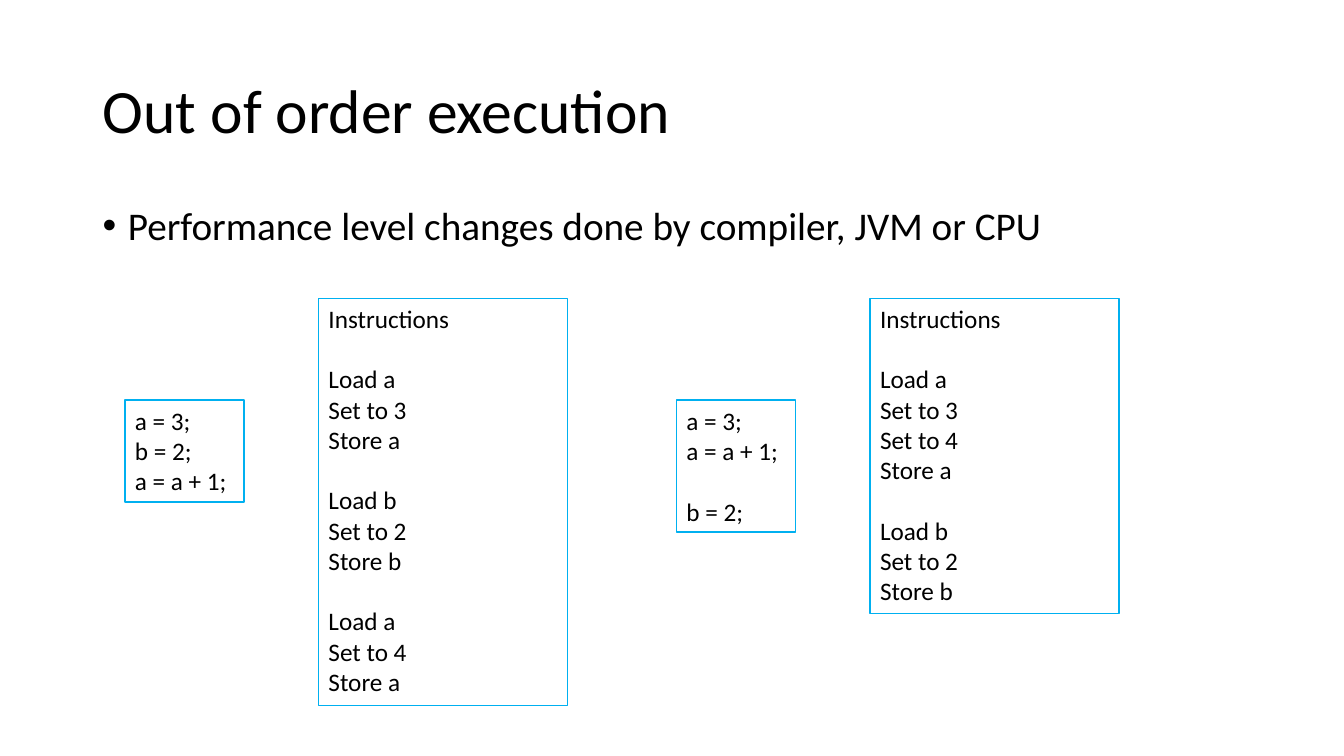
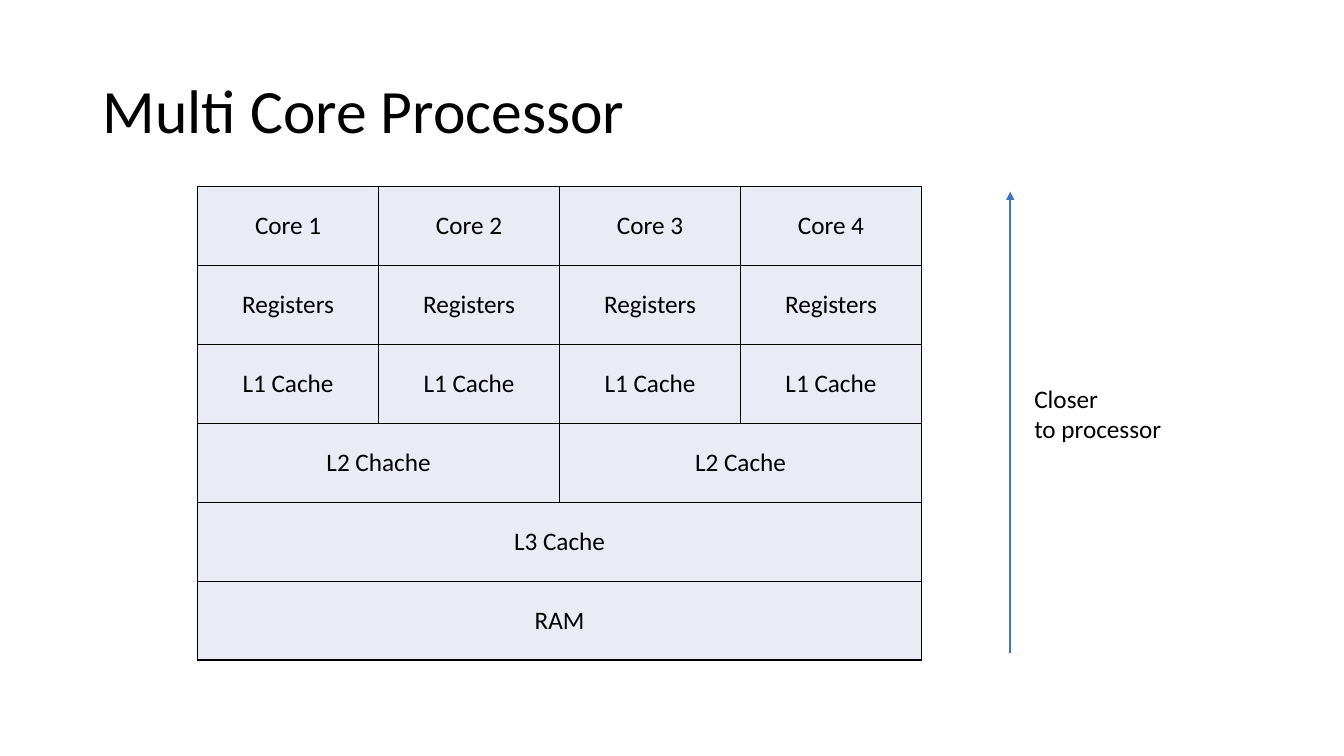
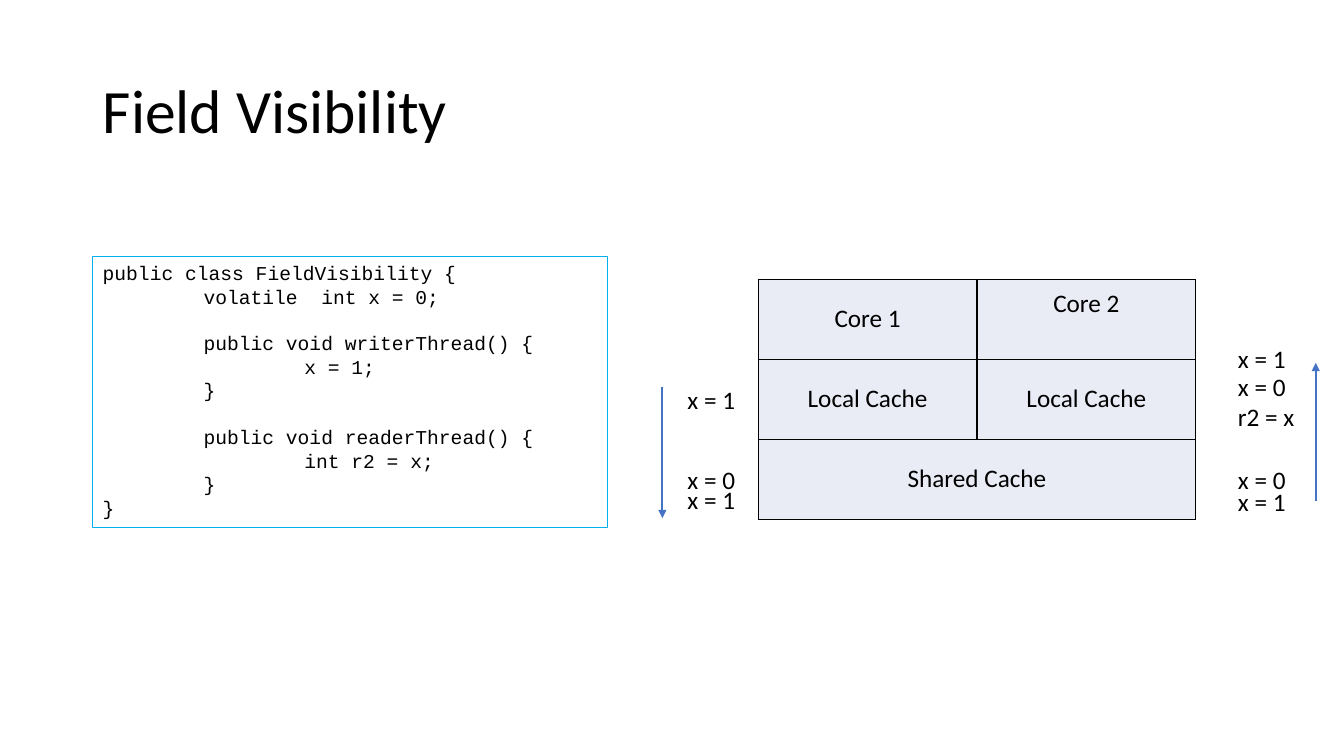
import dataclasses
import typing

import lxml.etree
import pptx
import pptx.dml.color
import pptx.enum.shapes
import pptx.enum.text
import pptx.oxml
import pptx.oxml.ns
import pptx.presentation
import pptx.slide
import pptx.table
import pptx.util

Inches = pptx.util.Inches
Pt = pptx.util.Pt

BLACK = "000000"
WHITE = "FFFFFF"
CODE_BORDER = "00B0F0"
ARROW_BLUE = "4472C4"
CELL_FILL = "E9EBF5"

BODY_FONT = "Calibri"
CODE_FONT = "Courier New"
GAP_HEIGHT = {BODY_FONT: 1.2, CODE_FONT: 1.18}

TITLE_ONLY = 5
BORDER_TAGS = ("a:lnL", "a:lnR", "a:lnT", "a:lnB")


@dataclasses.dataclass(frozen=True)
class TextBox:
    left: float
    top: float
    width: float
    height: float
    text: str
    size: int = 18
    font: str = BODY_FONT
    wrap: bool = False
    border: float = 0
    fill: str = ""


@dataclasses.dataclass(frozen=True)
class Grid:
    left: float
    top: float
    width: float
    height: float
    columns: int
    rows: list[list[str]]


class Arrow(typing.NamedTuple):
    x: float
    start: float
    end: float


def color(value: str) -> pptx.dml.color.RGBColor:
    return pptx.dml.color.RGBColor.from_string(value)


def style_font(para: typing.Any, size: int, name: str = BODY_FONT) -> None:
    para.font.size = Pt(size)
    para.font.name = name
    para.font.color.rgb = color(BLACK)


def add_page(deck: pptx.presentation.Presentation, title: str) -> pptx.slide.Slide:
    page = deck.slides.add_slide(deck.slide_layouts[TITLE_ONLY])
    heading = page.shapes.title
    heading.left, heading.top = Inches(0.92), Inches(0.4)
    heading.width, heading.height = Inches(11.5), Inches(1.45)
    frame = heading.text_frame
    frame.text = title
    frame.auto_size = pptx.enum.text.MSO_AUTO_SIZE.NONE
    frame.vertical_anchor = pptx.enum.text.MSO_ANCHOR.MIDDLE
    para = frame.paragraphs[0]
    para.alignment = pptx.enum.text.PP_ALIGN.LEFT
    para.line_spacing = 0.9
    style_font(para, 44)
    return page


def add_text(page: pptx.slide.Slide, item: TextBox) -> typing.Any:
    box = page.shapes.add_textbox(
        Inches(item.left), Inches(item.top), Inches(item.width), Inches(item.height)
    )
    if item.fill:
        box.fill.solid()
        box.fill.fore_color.rgb = color(item.fill)
    if item.border:
        box.line.color.rgb = color(CODE_BORDER)
        box.line.width = Pt(item.border)
    frame = box.text_frame
    frame.word_wrap = item.wrap
    frame.auto_size = pptx.enum.text.MSO_AUTO_SIZE.SHAPE_TO_FIT_TEXT
    for group_index, group in enumerate(item.text.split("\n\n")):
        for line_index, line in enumerate(group.split("\n")):
            first = group_index == line_index == 0
            para = frame.paragraphs[0] if first else frame.add_paragraph()
            para.text = line
            para._p.get_or_add_pPr().set("defTabSz", str(Inches(1)))
            style_font(para, item.size, item.font)
            if group_index and not line_index:
                para.space_before = Pt(item.size * GAP_HEIGHT[item.font])
    return box


def add_bullet(page: pptx.slide.Slide, text: str) -> None:
    box = add_text(page, TextBox(0.92, 2, 11.5, 0.57, text, size=28, wrap=True))
    para = box.text_frame.paragraphs[0]
    para.line_spacing = 0.9
    para.space_before = Pt(10)
    properties = para._p.get_or_add_pPr()
    properties.set("marL", str(Inches(0.25)))
    properties.set("indent", str(Inches(-0.25)))
    namespace = pptx.oxml.ns.nsdecls("a")
    bullet_font = pptx.oxml.parse_xml(f'<a:buFont {namespace} typeface="Arial"/>')
    bullet = pptx.oxml.parse_xml(f'<a:buChar {namespace} char="•"/>')
    position = list(properties).index(properties.find(pptx.oxml.ns.qn("a:spcBef"))) + 1
    properties.insert(position, bullet_font)
    properties.insert(position + 1, bullet)


def style_cell(cell: typing.Any) -> None:
    cell.fill.solid()
    cell.fill.fore_color.rgb = color(CELL_FILL)
    cell.vertical_anchor = pptx.enum.text.MSO_ANCHOR.MIDDLE
    properties = cell._tc.get_or_add_tcPr()
    for position, tag in enumerate(BORDER_TAGS):
        border = pptx.oxml.parse_xml(
            f'<{tag} {pptx.oxml.ns.nsdecls("a")} w="{Pt(1)}"><a:solidFill>'
            f'<a:srgbClr val="{BLACK}"/></a:solidFill></{tag}>'
        )
        properties.insert(position, border)


def add_grid(page: pptx.slide.Slide, grid: Grid) -> pptx.table.Table:
    table = page.shapes.add_table(
        len(grid.rows), grid.columns,
        Inches(grid.left), Inches(grid.top), Inches(grid.width), Inches(grid.height),
    ).table
    table.first_row = False
    table.horz_banding = False
    for cell in table.iter_cells():
        style_cell(cell)
    for row_index, labels in enumerate(grid.rows):
        span = grid.columns // len(labels)
        for label_index, label in enumerate(labels):
            column = label_index * span
            cell = table.cell(row_index, column)
            if span > 1:
                cell.merge(table.cell(row_index, column + span - 1))
            cell.text = label
            para = cell.text_frame.paragraphs[0]
            para.alignment = pptx.enum.text.PP_ALIGN.CENTER
            style_font(para, 18)
    return table


def add_arrow(page: pptx.slide.Slide, arrow: Arrow) -> None:
    connector = page.shapes.add_connector(
        pptx.enum.shapes.MSO_CONNECTOR.STRAIGHT,
        Inches(arrow.x), Inches(arrow.start), Inches(arrow.x), Inches(arrow.end),
    )
    connector.line.color.rgb = color(ARROW_BLUE)
    connector.line.width = Pt(1.5)
    qn = pptx.oxml.ns.qn
    outline = connector.line._get_or_add_ln()
    lxml.etree.SubElement(outline, qn("a:tailEnd"), type="triangle")
    lxml.etree.SubElement(connector._element.spPr, qn("a:effectLst"))


def build_execution(deck: pptx.presentation.Presentation) -> None:
    page = add_page(deck, "Out of order execution")
    add_bullet(page, "Performance level changes done by compiler, JVM or CPU")
    examples = [
        (
            1.24, 1.01, "a = 3;\nb = 2;\na = a + 1;",
            4.04,
            "Instructions\n\nLoad a\nSet to 3\nStore a\n\n"
            "Load b\nSet to 2\nStore b\n\nLoad a\nSet to 4\nStore a",
        ),
        (
            6.71, 1.31, "a = 3;\na = a + 1;\n\nb = 2;",
            3.13,
            "Instructions\n\nLoad a\nSet to 3\nSet to 4\nStore a\n\n"
            "Load b\nSet to 2\nStore b",
        ),
    ]
    for left, code_height, code, list_height, instructions in examples:
        add_text(page, TextBox(left, 3.97, 1.18, code_height, code, border=1, fill=WHITE))
        add_text(
            page,
            TextBox(
                left + 1.92, 2.96, 2.47, list_height, instructions,
                wrap=True, border=1, fill=WHITE,
            ),
        )


def build_processor(deck: pptx.presentation.Presentation) -> None:
    page = add_page(deck, "Multi Core Processor")
    rows = [
        [f"Core {number}" for number in range(1, 5)],
        ["Registers"] * 4,
        ["L1 Cache"] * 4,
        ["L2 Chache", "L2 Cache"],
        ["L3 Cache"],
        ["RAM"],
    ]
    add_grid(page, Grid(1.96, 1.85, 7.18, 4.7, 4, rows))
    add_arrow(page, Arrow(10.02, 6.48, 1.9))
    add_text(page, TextBox(10.16, 3.75, 1.48, 0.71, "Closer\nto processor"))


def build_visibility(deck: pptx.presentation.Presentation) -> None:
    page = add_page(deck, "Field Visibility")
    code = (
        "public class FieldVisibility {\n\tvolatile  int x = 0;\n\n"
        "\tpublic void writerThread() {\n\t\tx = 1;\n\t}\n\n"
        "\tpublic void readerThread() {\n\t\tint r2 = x;\n\t}\n}"
    )
    add_text(
        page,
        TextBox(0.92, 2.54, 5.11, 2.69, code, 14, CODE_FONT, wrap=True, border=0.75),
    )
    rows = [["Core 1", "Core 2"], ["Local Cache"] * 2, ["Shared Cache"]]
    table = add_grid(page, Grid(7.52, 2.77, 4.34, 2.38, 2, rows))
    table.cell(0, 1).margin_bottom = Inches(0.35)
    writer_left, reader_left = 6.72, 12.18
    values = [
        (writer_left, 4.56, "x = 0"),
        (reader_left, 4.56, "x = 0"),
        (writer_left, 3.76, "x = 1"),
        (writer_left, 4.76, "x = 1"),
        (reader_left, 4.78, "x = 1"),
        (reader_left, 3.36, "x = 1"),
    ]
    for left, top, value in values:
        add_text(page, TextBox(left, top, 0.68, 0.4, value))
    add_text(page, TextBox(reader_left, 3.63, 0.77, 0.71, "x = 0\nr2 = x"))
    for arrow in (Arrow(6.57, 3.84, 5.14), Arrow(13.05, 4.97, 3.6)):
        add_arrow(page, arrow)


def main() -> None:
    deck = pptx.Presentation()
    deck.slide_width, deck.slide_height = Inches(13.33), Inches(7.5)
    build_execution(deck)
    build_processor(deck)
    build_visibility(deck)
    deck.save("out.pptx")


if __name__ == "__main__":
    main()
